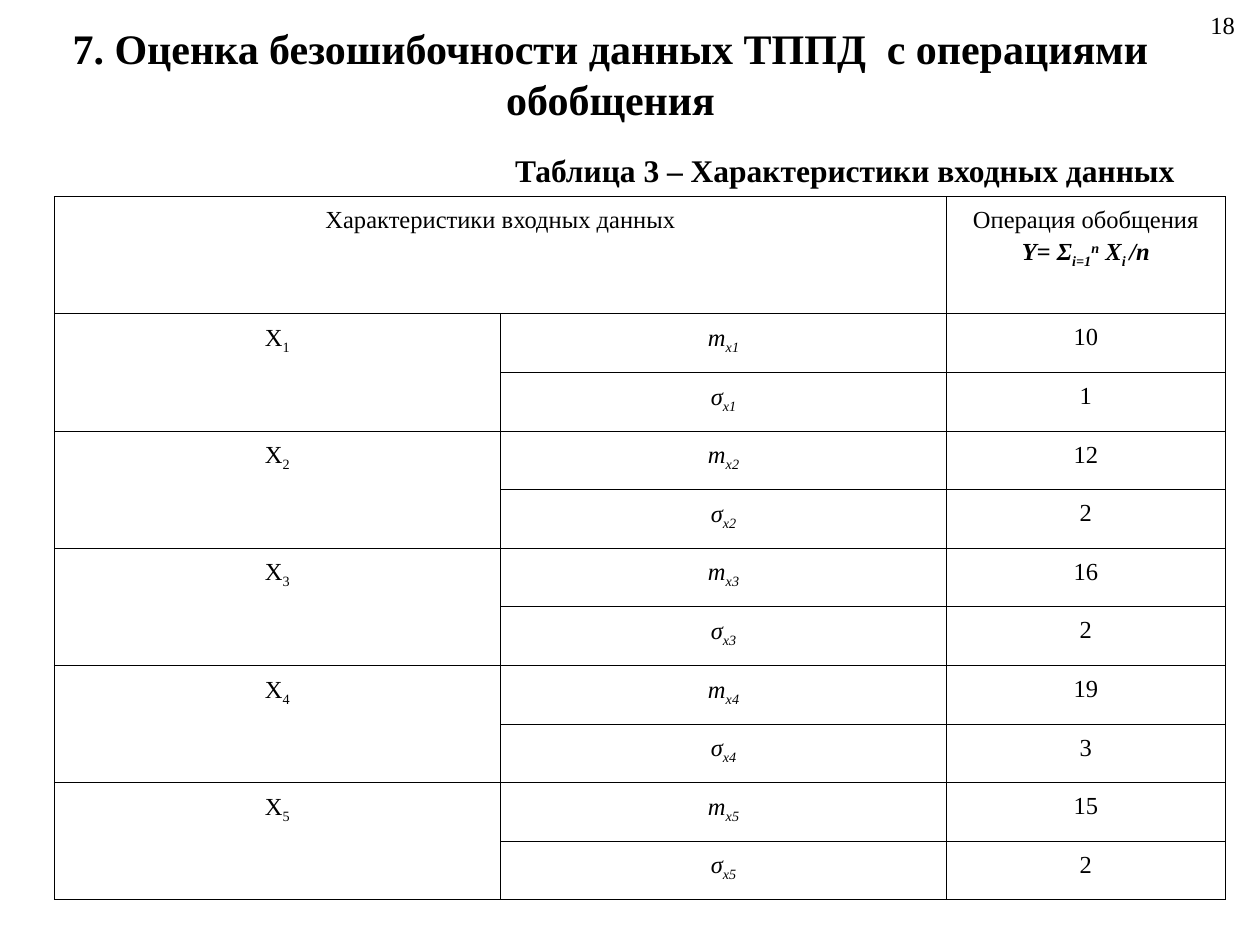
from dataclasses import dataclass

from lxml.etree import SubElement
from pptx import Presentation
from pptx.dml.color import RGBColor
from pptx.enum.text import MSO_ANCHOR, MSO_AUTO_SIZE, PP_ALIGN
from pptx.oxml.ns import qn
from pptx.util import Pt

FONT = "Times New Roman"
BLACK = "000000"
SUB, SUPER = -25, 30
COL_WIDTHS = (255, 255, 159)
HEADER_HEIGHT, ROW_HEIGHT = 67, 33.5


@dataclass
class Run:
    text: str
    size: float = 14
    bold: bool = False
    italic: bool = False
    baseline: int = 0


@dataclass
class InputData:
    mean: int
    deviation: int


INPUTS = [InputData(10, 1), InputData(12, 2), InputData(16, 2), InputData(19, 3), InputData(15, 2)]
FORMULA = [("Y= Σ", 0), ("i=1", SUB), ("n", SUPER), (" X", 0), ("i ", SUB), ("/n", 0)]


def color(value: str) -> RGBColor:
    return RGBColor.from_string(value)


def add_runs(p, runs: list[Run], align: PP_ALIGN) -> None:
    p.alignment = align
    for run in runs:
        r = p.add_run()
        r.text = run.text
        font = r.font
        font.name, font.size = FONT, Pt(run.size)
        font.bold, font.italic = run.bold, run.italic
        font.color.rgb = color(BLACK)
        if run.baseline:
            r._r.get_or_add_rPr().set("baseline", str(run.baseline * 1000))


def add_label(s, left: float, top: float, width: float, height: float, run: Run,
              align: PP_ALIGN, anchor: MSO_ANCHOR, wrap: bool) -> None:
    tf = s.shapes.add_textbox(Pt(left), Pt(top), Pt(width), Pt(height)).text_frame
    tf.word_wrap = wrap
    tf.vertical_anchor = anchor
    add_runs(tf.paragraphs[0], [run], align)


def outline(cell, width: float = 0.45) -> None:
    tc_pr = cell._tc.get_or_add_tcPr()
    for side in ("lnL", "lnR", "lnT", "lnB"):
        ln = SubElement(tc_pr, qn(f"a:{side}"), w=str(Pt(width)))
        SubElement(SubElement(ln, qn("a:solidFill")), qn("a:srgbClr"), val=BLACK)


def write_cell(cell, *lines: list[Run]) -> None:
    tf = cell.text_frame
    for i, runs in enumerate(lines):
        p = tf.add_paragraph() if i else tf.paragraphs[0]
        p.line_spacing = 1.15
        add_runs(p, runs, PP_ALIGN.CENTER)


def add_input_table(s, left: float, top: float) -> None:
    n_rows = 1 + 2 * len(INPUTS)
    height = HEADER_HEIGHT + ROW_HEIGHT * (n_rows - 1)
    table = s.shapes.add_table(n_rows, len(COL_WIDTHS), Pt(left), Pt(top),
                               Pt(sum(COL_WIDTHS)), Pt(height)).table
    table.first_row = table.horz_banding = False
    for column, width in zip(table.columns, COL_WIDTHS):
        column.width = Pt(width)
    for i, row in enumerate(table.rows):
        row.height = Pt(ROW_HEIGHT if i else HEADER_HEIGHT)
    for cell in table.iter_cells():
        outline(cell)
        cell.fill.background()
        cell.margin_left = cell.margin_right = Pt(5.4)
        cell.margin_top = cell.margin_bottom = Pt(3.6)

    table.cell(0, 0).merge(table.cell(0, 1))
    write_cell(table.cell(0, 0), [Run("Характеристики входных данных")])
    write_cell(table.cell(0, 2), [Run("Операция обобщения")],
               [Run(text, bold=True, italic=True, baseline=base) for text, base in FORMULA])

    for n, data in enumerate(INPUTS, start=1):
        first = 2 * n - 1
        table.cell(first, 0).merge(table.cell(first + 1, 0))
        write_cell(table.cell(first, 0), [Run("X"), Run(str(n), baseline=SUB)])
        for row, (symbol, value) in enumerate((("m", data.mean), ("σ", data.deviation)), first):
            write_cell(table.cell(row, 1), [Run(symbol, italic=True),
                                            Run(f"x{n}", italic=True, baseline=SUB)])
            write_cell(table.cell(row, 2), [Run(str(value))])


def add_title(s, text: str) -> None:
    title = s.shapes.title
    title.left, title.top, title.width, title.height = Pt(8.64), Pt(9.36), Pt(680.4), Pt(34)
    tf = title.text_frame
    tf.word_wrap = True
    tf.auto_size = MSO_AUTO_SIZE.NONE
    tf.vertical_anchor = MSO_ANCHOR.TOP
    add_runs(tf.paragraphs[0], [Run(text, size=24, bold=True)], PP_ALIGN.CENTER)


def main() -> None:
    prs = Presentation()
    prs.slide_width, prs.slide_height = Pt(720), Pt(540)
    s = prs.slides.add_slide(prs.slide_layouts[5])
    add_label(s, 683.3, 0, 29.5, 28.8, Run("18"), PP_ALIGN.RIGHT, MSO_ANCHOR.MIDDLE, True)
    add_title(s, "7. Оценка безошибочности данных ТППД  с операциями обобщения")
    add_input_table(s, 31, 112.3)
    add_label(s, 287.3, 82.8, 393, 28.8,
              Run("Таблица 3 – Характеристики входных данных", size=18, bold=True),
              PP_ALIGN.LEFT, MSO_ANCHOR.TOP, False)
    prs.save("out.pptx")


if __name__ == "__main__":
    main()
